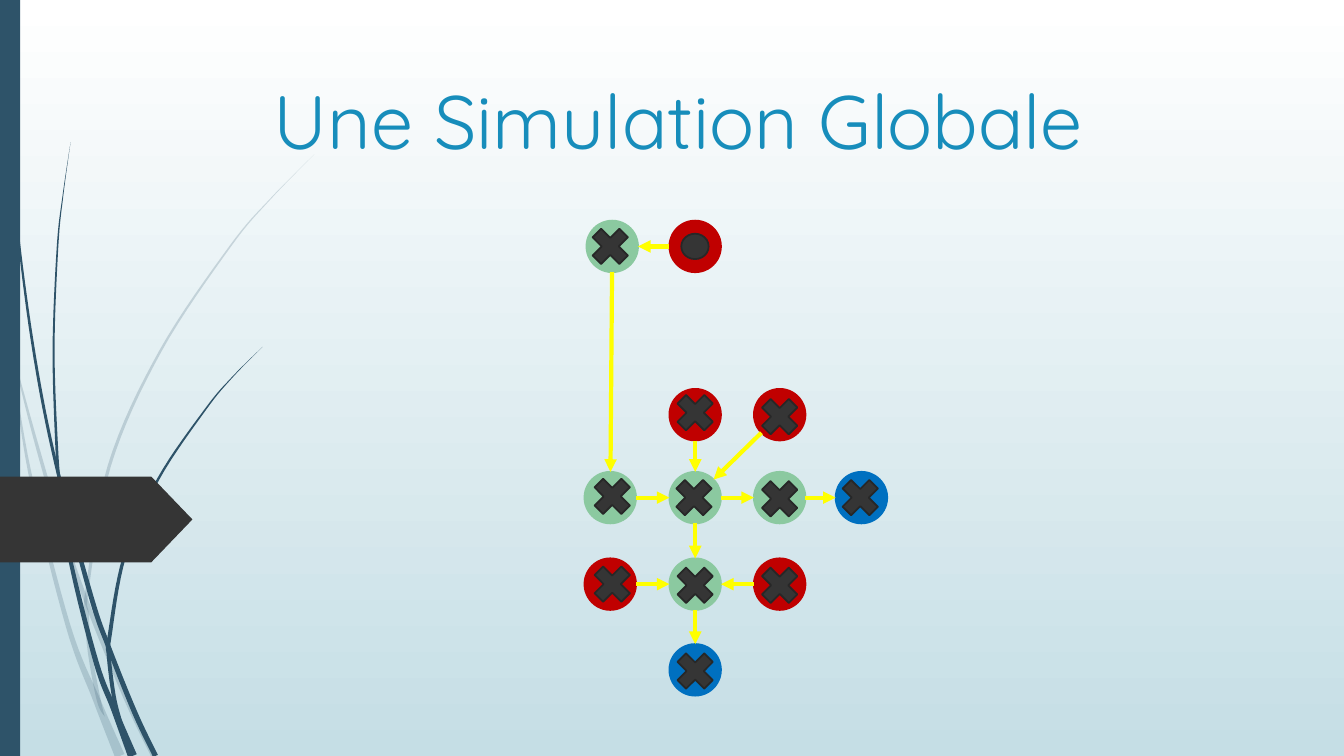
"""Build the "Une Simulation Globale" slide: a network of nodes joined by arrows."""
from math import hypot

from lxml.etree import SubElement
from pptx import Presentation
from pptx.dml.color import RGBColor
from pptx.enum.shapes import MSO_CONNECTOR, MSO_SHAPE
from pptx.enum.text import MSO_ANCHOR, PP_ALIGN
from pptx.oxml.ns import qn
from pptx.util import Cm, Pt

TITLE = "Une Simulation Globale"
COLORS = {
    "sky": "FFFFFF", "ground": "C5DEE5", "stem": "2E5369", "title": "178DBB",
    "source": "C00000", "relay": "8BC9A0", "sink": "0070C0",
    "link": "FFFF00", "mark": "353535", "mark edge": "272727",
}

COLUMNS = {"entry": 14.78, "left": 14.73, "centre": 16.87, "right": 19.0, "exit": 21.06}
ROWS = [5.56, 9.8, 11.89, 14.07, 16.23]
NODE_SIZE = 1.3
# column, row, role, nudge of the cross (None marks the starting node)
NODES = {
    "start": ("centre", 0, "source", None),
    "turn": ("entry", 0, "relay", (-0.05, 0)),
    "top": ("centre", 1, "source", (0, -0.05)),
    "corner": ("right", 1, "source", (0, 0.05)),
    "west": ("left", 2, "relay", (0.05, -0.03)),
    "hub": ("centre", 2, "relay", (-0.03, 0)),
    "east": ("right", 2, "relay", (0, 0.03)),
    "east sink": ("exit", 2, "sink", (-0.03, 0)),
    "low west": ("left", 3, "source", (0.05, 0)),
    "low hub": ("centre", 3, "relay", (0, 0.03)),
    "low east": ("right", 3, "source", (0, 0.03)),
    "low sink": ("centre", 4, "sink", (0, 0.03)),
}
LINKS = [
    ("start", "turn"), ("turn", "west"), ("top", "hub"), ("corner", "hub"),
    ("hub", "east"), ("east", "east sink"), ("west", "hub"), ("hub", "low hub"),
    ("low west", "low hub"), ("low east", "low hub"), ("low hub", "low sink"),
]

# opacity in percent, then x, y and width along each stem
STEMS = [
    (20, [(0.38, 9.14, 0.03), (0.89, 11.07, 0.08), (1.52, 13.23, 0.1),
          (2.18, 15.16, 0.11), (3.18, 17.6, 0.12), (3.87, 19.05, 0.12)]),
    (20, [(0.28, 8.89, 0), (0.75, 11.91, 0.08), (1.71, 15.75, 0.12),
          (2.44, 17.65, 0.18), (3.02, 19.05, 0.25)]),
    (20, [(7.92, 3.89, 0), (6.81, 5.02, 0.02), (5.8, 6.21, 0.04), (4.04, 8.85, 0.06),
          (2.76, 11.72, 0.08), (2.2, 14.83, 0.08), (2.19, 15.49, 0.1),
          (2.26, 16.41, 0.1), (2.49, 17.65, 0.1), (2.64, 18.06, 0)]),
    (100, [(0.1, 0, 0.02), (0.19, 2.79, 0.03), (0.46, 5.92, 0.05), (0.88, 9.02, 0.07),
           (1.42, 11.73, 0.08), (2.29, 15.01, 0.12), (2.74, 16.31, 0.12),
           (3.4, 17.96, 0.13), (3.92, 19.05, 0.13)]),
    (100, [(1.45, 12.12, 0.05), (1.78, 14.14, 0.1), (2.43, 16.71, 0.13),
           (2.87, 17.86, 0.15), (3.34, 19.05, 0.23)]),
    (100, [(1.78, 3.58, 0), (1.59, 4.9, 0.02), (1.45, 6.22, 0.04),
           (1.35, 8.86, 0.05), (1.44, 11.48, 0.07), (1.5, 12.1, 0.08)]),
    (100, [(6.62, 8.74, 0), (5.87, 9.49, 0.02), (5.19, 10.3, 0.04), (3.99, 12.07, 0.06),
           (3.14, 14.01, 0.08), (2.76, 16.05, 0.1), (2.74, 16.51, 0.1),
           (2.87, 17.55, 0.1), (3.05, 18.26, 0.1)]),
]
STEPS = 8


def color(name):
    return RGBColor.from_string(COLORS[name])


def paint(shape, fill, edge=None):
    shape.shadow.inherit = False
    shape.fill.solid()
    shape.fill.fore_color.rgb = color(fill)
    if edge:
        shape.line.color.rgb = color(edge)
        shape.line.width = Pt(1.25)
    else:
        shape.line.fill.background()


def add_preset(slide, kind, left, top, width, height, fill, edge=None):
    shape = slide.shapes.add_shape(kind, Cm(left), Cm(top), Cm(width), Cm(height))
    paint(shape, fill, edge)
    return shape


def smooth(points):
    """Return points on a Catmull-Rom curve through the given ones."""
    padded = [points[0], *points, points[-1]]
    curve = []
    for a, b, c, d in zip(padded, padded[1:], padded[2:], padded[3:]):
        for t in (step / STEPS for step in range(STEPS)):
            curve.append(tuple(
                (2 * q + (r - p) * t + (2 * p - 5 * q + 4 * r - s) * t ** 2
                 + (3 * q - p - 3 * r + s) * t ** 3) / 2
                for p, q, r, s in zip(a, b, c, d)))
    return curve + [points[-1]]


def add_stem(slide, opacity, points):
    curve = smooth(points)
    near, far = [], []
    for before, (x, y, width), after in zip(curve[:1] + curve, curve, curve[1:] + curve[-1:]):
        dx, dy = after[0] - before[0], after[1] - before[1]
        half = width / 2 / hypot(dx, dy)
        near.append((Cm(x - dy * half), Cm(y + dx * half)))
        far.append((Cm(x + dy * half), Cm(y - dx * half)))
    outline = near + far[::-1]
    builder = slide.shapes.build_freeform(*outline[0])
    builder.add_line_segments(outline[1:], close=True)
    stem = builder.convert_to_shape()
    paint(stem, "stem")
    if opacity < 100:
        tint = stem.fill._xPr.find(qn("a:solidFill"))[0]
        SubElement(tint, qn("a:alpha"), val=str(opacity * 1000))


def add_link(slide, start, end):
    (x1, y1), (x2, y2) = start, end
    reach = NODE_SIZE / 2 / hypot(x2 - x1, y2 - y1)
    dx, dy = (x2 - x1) * reach, (y2 - y1) * reach
    link = slide.shapes.add_connector(
        MSO_CONNECTOR.STRAIGHT, Cm(x1 + dx), Cm(y1 + dy), Cm(x2 - dx), Cm(y2 - dy))
    link.line.color.rgb = color("link")
    link.line.width = Pt(3)
    SubElement(link.line._get_or_add_ln(), qn("a:tailEnd"), type="triangle")
    SubElement(link._element.spPr, qn("a:effectLst"))


def main():
    prs = Presentation()
    prs.slide_width, prs.slide_height = Cm(33.87), Cm(19.05)
    slide = prs.slides.add_slide(prs.slide_layouts[5])

    backdrop = slide.background.fill
    backdrop.gradient()
    backdrop.gradient_angle = 270
    for stop, name in zip(backdrop.gradient_stops, ("sky", "ground")):
        stop.color.rgb = color(name)

    for opacity, points in STEMS:
        add_stem(slide, opacity, points)
    add_preset(slide, MSO_SHAPE.RECTANGLE, 0, 0, 0.51, 19.05, "stem")
    tag = add_preset(slide, MSO_SHAPE.PENTAGON, 0, 12.01, 4.85, 2.16, "mark")
    tag.adjustments[0] = 0.48

    title = slide.shapes.title
    title.left, title.top, title.width, title.height = Cm(6.65), Cm(0.71), Cm(24.77), Cm(3.56)
    title.text_frame.text = TITLE
    title.text_frame.vertical_anchor = MSO_ANCHOR.BOTTOM
    heading = title.text_frame.paragraphs[0]
    heading.alignment = PP_ALIGN.LEFT
    font = heading.runs[0].font
    font.name, font.size, font.color.rgb = "Quicksand", Pt(54), color("title")

    centres = {}
    for name, (column, row, role, _) in NODES.items():
        left, top = COLUMNS[column], ROWS[row]
        add_preset(slide, MSO_SHAPE.OVAL, left, top, NODE_SIZE, NODE_SIZE, role, role)
        centres[name] = (left + NODE_SIZE / 2, top + NODE_SIZE / 2)
    for start, end in LINKS:
        add_link(slide, centres[start], centres[end])
    for column, row, _, nudge in NODES.values():
        left, top = COLUMNS[column], ROWS[row]
        if nudge is None:
            add_preset(slide, MSO_SHAPE.OVAL, left + 0.3, top + 0.33, 0.69, 0.64,
                       "mark", "mark edge")
        else:
            add_preset(slide, MSO_SHAPE.MATH_MULTIPLY, left + nudge[0], top + nudge[1],
                       NODE_SIZE, NODE_SIZE, "mark", "mark edge")

    prs.save("out.pptx")


if __name__ == "__main__":
    main()
